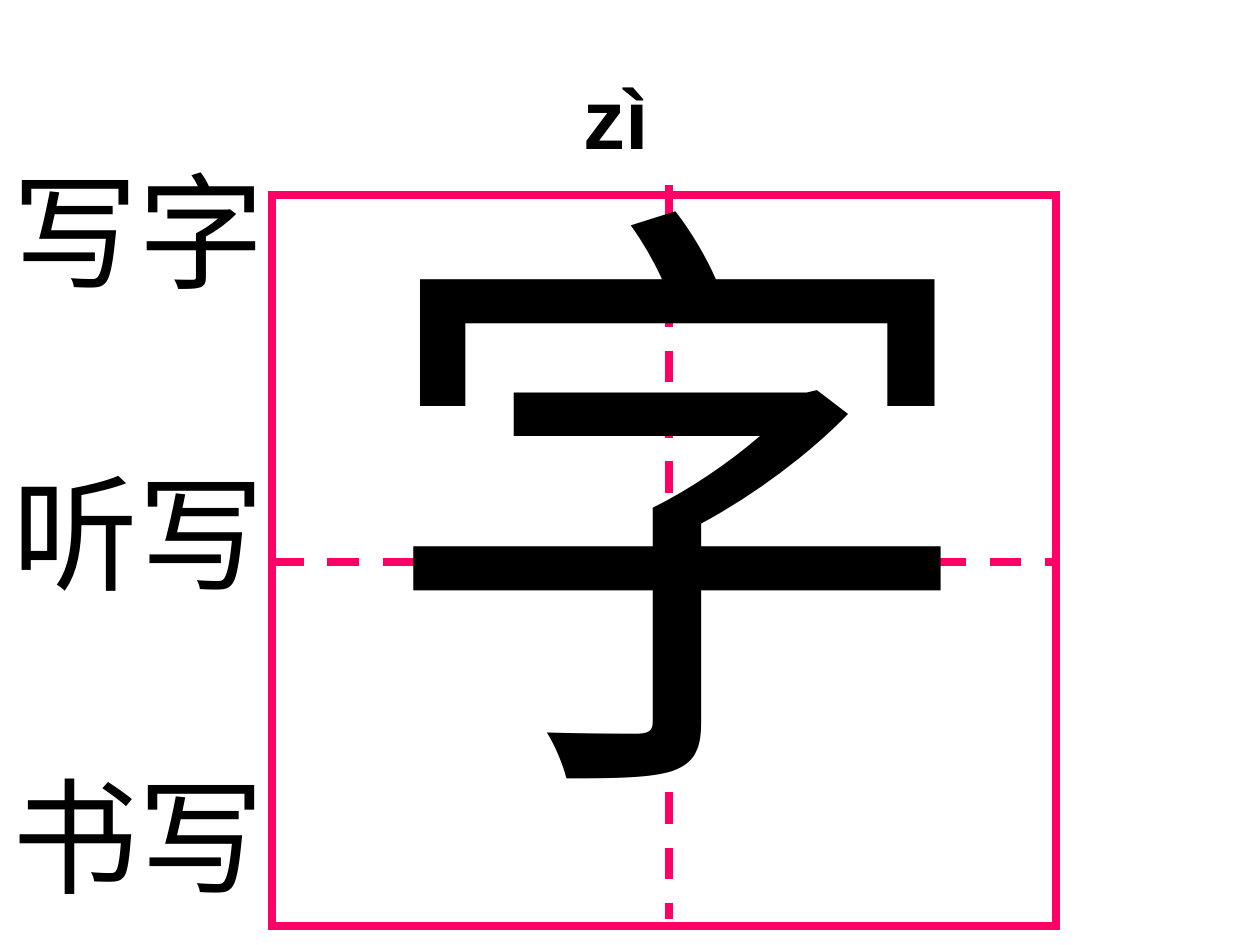
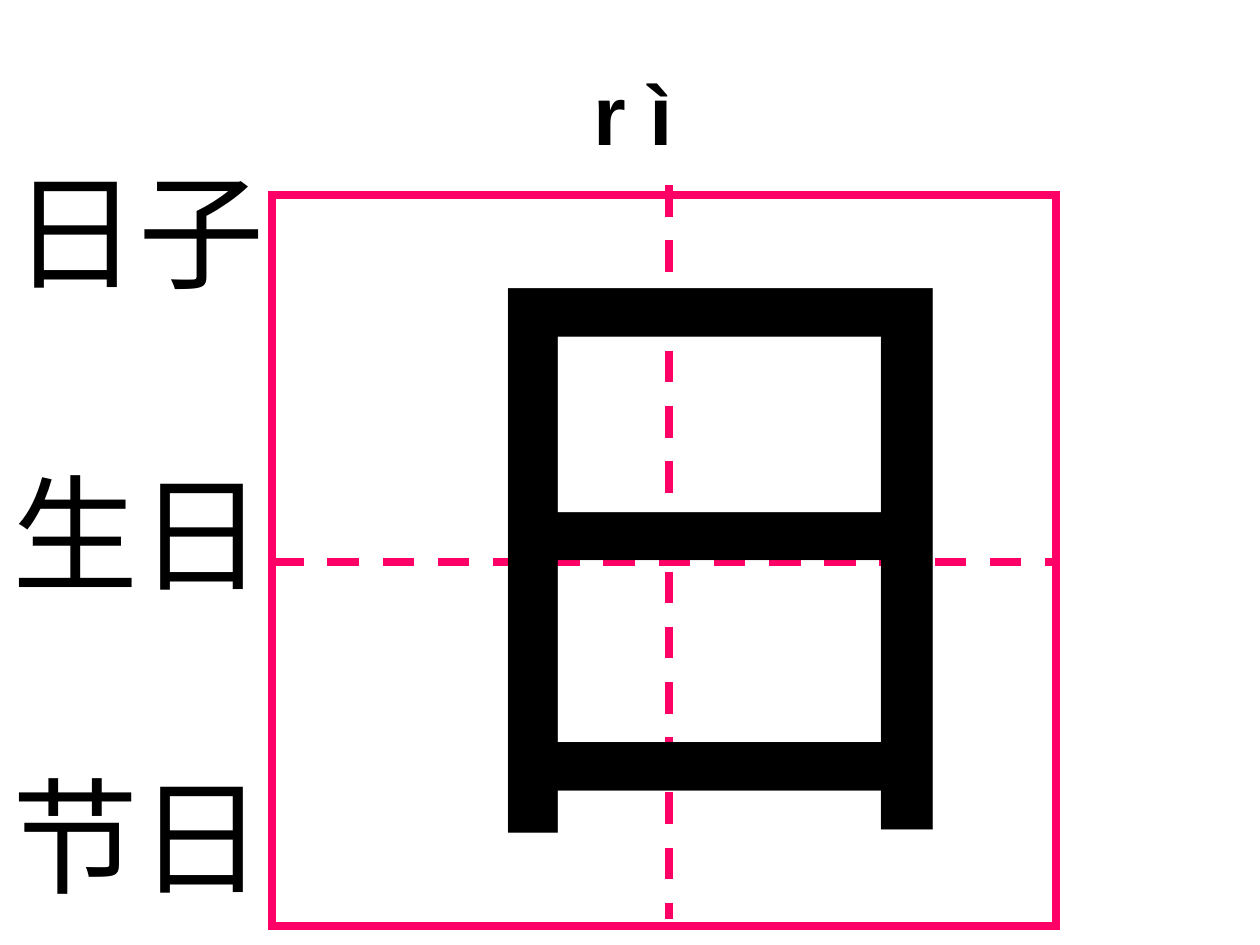
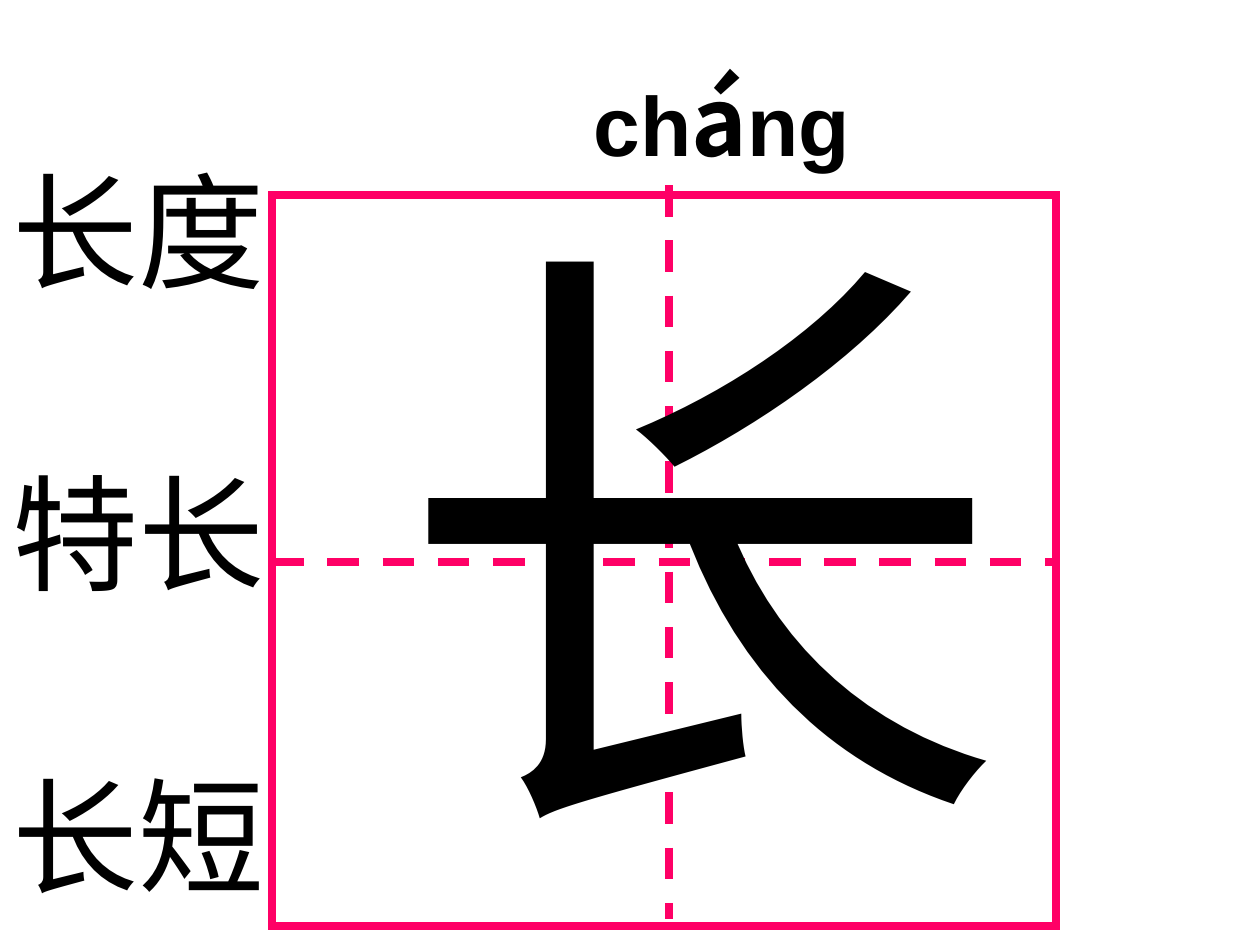
from dataclasses import dataclass

from lxml import etree
from pptx import Presentation
from pptx.dml.color import RGBColor
from pptx.enum.dml import MSO_LINE
from pptx.enum.shapes import MSO_CONNECTOR, MSO_SHAPE
from pptx.enum.text import MSO_ANCHOR, MSO_AUTO_SIZE, PP_ALIGN
from pptx.oxml.ns import qn
from pptx.util import Inches, Pt

RECTANGLE = MSO_SHAPE.RECTANGLE
STRAIGHT = MSO_CONNECTOR.STRAIGHT
DASH = MSO_LINE.DASH
TOP = MSO_ANCHOR.TOP
LEFT = PP_ALIGN.LEFT
GROW = MSO_AUTO_SIZE.SHAPE_TO_FIT_TEXT
TITLE_ONLY = 5


@dataclass(frozen=True)
class Theme:
    ink: RGBColor = RGBColor(0x00, 0x00, 0x00)
    grid: RGBColor = RGBColor(0xFF, 0x00, 0x66)
    grid_width: float = 4.5
    dot_width: float = 0.75
    sans: str = "Arial"
    serif: str = "Times New Roman"
    accent_font: str = "Noto Sans CJK SC"
    pinyin_size: int = 48
    accent_size: int = 54
    word_size: int = 72
    line_height: float = 1.2


THEME = Theme()
PINYIN = (THEME.sans, THEME.pinyin_size)
ACCENT = (THEME.accent_font, THEME.accent_size)

CARDS = [
    {
        "pinyin": [("zì", *PINYIN)],
        "pinyin_at": (4.53, 0.47, 3.23, 0.9),
        "character": "字",
        "character_size": 350,
        "character_at": (2.85, 0.89, 5.06, 5.94),
        "words": ["写字", "听写", "书写"],
    },
    {
        "pinyin": [("r ì", *PINYIN)],
        "pinyin_at": (4.61, 0.44, 3.23, 0.9),
        "character": "日",
        "character_size": 370,
        "character_at": (3.03, 1.07, 5.34, 6.27),
        "words": ["日子", "生日", "节日"],
    },
    {
        "pinyin": [("ch", *PINYIN), ("á", *ACCENT), ("ng", *PINYIN)],
        "pinyin_at": (4.61, 0.44, 3.23, 1),
        "character": "长",
        "character_size": 350,
        "character_at": (3.03, 1.23, 5.06, 5.94),
        "words": ["长度", "特长", "长短"],
    },
]

WORDS_AT = (0, 1.17, 2.66, 6.1)
SQUARE_AT = (2.16, 1.55, 6.22, 5.8)
DOT_AT = (1.85, 4.46, 1.85, 4.46)
MIDLINES = [(2.16, 4.46, 8.39, 4.46), (5.31, 1.47, 5.31, 7.29)]


def inches(values):
    return [Inches(value) for value in values]


def write(box, paragraphs, *, bold=False, wrap=True, blank_lines=0):
    frame = box.text_frame
    frame.word_wrap = wrap
    frame.auto_size = GROW
    frame.vertical_anchor = TOP
    for index, spans in enumerate(paragraphs):
        para = frame.add_paragraph() if index else frame.paragraphs[0]
        height = THEME.line_height * max(size for _, _, size in spans)
        para.alignment = LEFT
        para.line_spacing = Pt(height)
        para.space_before = Pt(height * blank_lines if index else 0)
        for text, name, size in spans:
            span = para.add_run()
            span.text = text
            font = span.font
            font.name = name
            font.size = Pt(size)
            font.bold = bold
            font.color.rgb = THEME.ink
            east_asian = etree.SubElement(font._element, qn("a:ea"))
            east_asian.set("typeface", THEME.sans)


def draw_line(slide, ends, *, color, width, dash=None):
    connector = slide.shapes.add_connector(STRAIGHT, *inches(ends))
    connector.line.color.rgb = color
    connector.line.width = Pt(width)
    connector.line.dash_style = dash
    etree.SubElement(connector._element.spPr, qn("a:effectLst"))


def draw_writing_grid(slide):
    draw_line(slide, DOT_AT, color=THEME.ink, width=THEME.dot_width)
    square = slide.shapes.add_shape(RECTANGLE, *inches(SQUARE_AT))
    square.shadow.inherit = False
    square.fill.background()
    square.line.color.rgb = THEME.grid
    square.line.width = Pt(THEME.grid_width)
    corner = etree.SubElement(square.line._get_or_add_ln(), qn("a:miter"))
    corner.set("lim", "800000")
    for ends in MIDLINES:
        draw_line(slide, ends, color=THEME.grid, width=THEME.grid_width, dash=DASH)


def build_card(deck, card):
    slide = deck.slides.add_slide(deck.slide_layouts[TITLE_ONLY])
    title = slide.shapes.title
    title.left, title.top, title.width, title.height = inches(card["pinyin_at"])
    write(title, [card["pinyin"]], bold=True)

    draw_writing_grid(slide)

    character = slide.shapes.add_textbox(*inches(card["character_at"]))
    write(character, [[(card["character"], THEME.serif, card["character_size"])]], wrap=False)

    words = slide.shapes.add_textbox(*inches(WORDS_AT))
    write(words, [[(word, THEME.sans, THEME.word_size)] for word in card["words"]], blank_lines=1)


def main():
    deck = Presentation()
    deck.slide_width, deck.slide_height = inches((10, 7.5))
    for card in CARDS:
        build_card(deck, card)
    deck.save("out.pptx")


if __name__ == "__main__":
    main()
